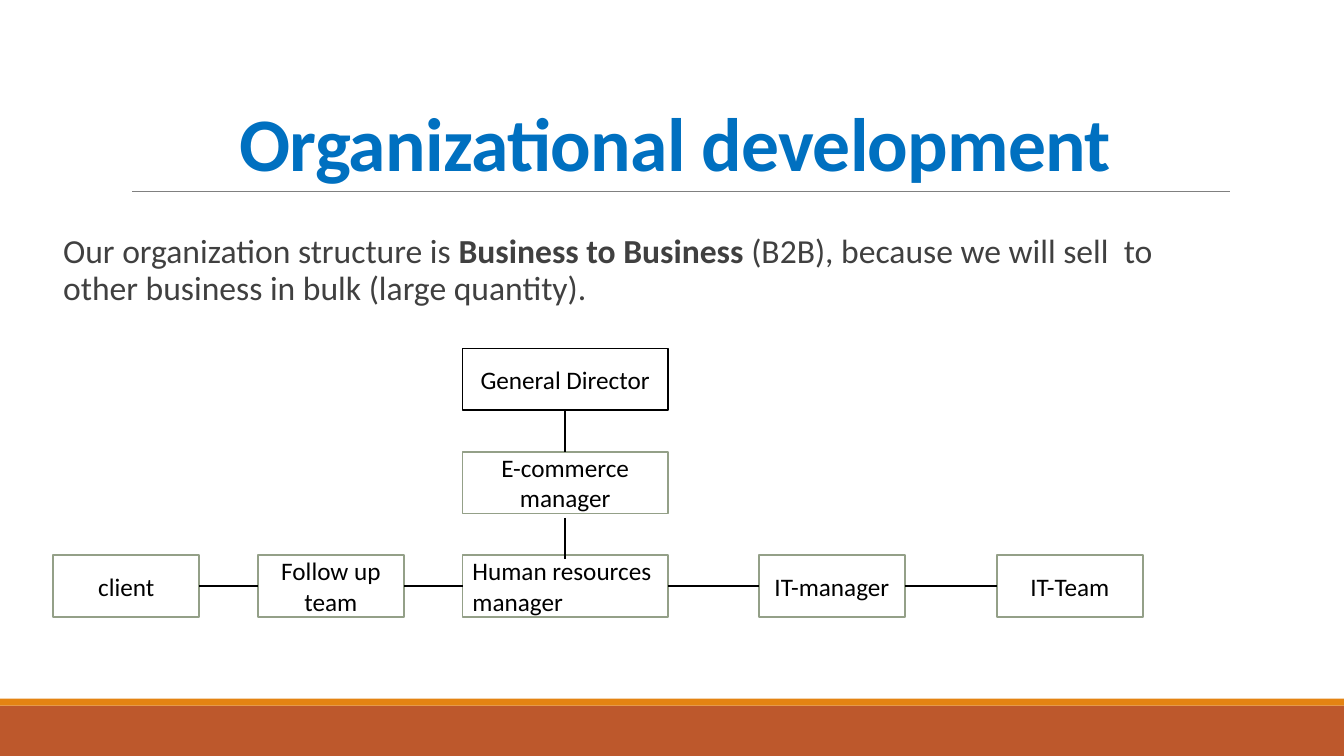
from lxml import etree
from pptx import Presentation
from pptx.dml.color import RGBColor
from pptx.enum import shapes, text
from pptx.oxml.ns import qn
from pptx.util import Pt

COLORS = {
    "title": "0070C0", "body": "404040", "black": "000000", "white": "FFFFFF",
    "sage": "94A088", "rule": "808080", "rust": "BD582C", "orange": "E48312",
}
TITLE = "Organizational development"
BODY = [
    ("Our organization structure is ", False),
    ("Business to Business ", True),
    ("(B2B), because we will sell  to other business in bulk (large quantity).", False),
]
WIDE, NARROW, BOX_HEIGHT = 146.6, 104.4, 44
CENTER, LEFT = text.PP_ALIGN.CENTER, text.PP_ALIGN.LEFT
COLUMNS = [38, 184.2, 330.4, 542, 712]
ROWS = [249, 322.8, 396.6]
BOXES = {
    "General Director": (2, 0, WIDE, "black", CENTER),
    "E-commerce manager": (2, 1, WIDE, "sage", CENTER),
    "client": (0, 2, NARROW, "sage", CENTER),
    "Follow up team": (1, 2, NARROW, "sage", CENTER),
    "Human resources manager": (2, 2, WIDE, "sage", LEFT),
    "IT-manager": (3, 2, NARROW, "sage", CENTER),
    "IT-Team": (4, 2, NARROW, "sage", CENTER),
}
TEAM_CHAIN = ["client", "Follow up team", "Human resources manager", "IT-manager", "IT-Team"]
BANDS = [("rust", 504, 36), ("orange", 499, 5)]


def color(name):
    return RGBColor.from_string(COLORS[name])


def apply(target, values):
    for name, value in values.items():
        setattr(target, name, value)


def add_run(paragraph, words, size, color_name, bold=False):
    run = paragraph.add_run()
    run.text = words
    apply(run.font, {"name": "Calibri", "size": Pt(size), "bold": bold})
    run.font.color.rgb = color(color_name)
    return run


def add_rectangle(slide, left, top, width, height, fill):
    shape = slide.shapes.add_shape(
        shapes.MSO_SHAPE.RECTANGLE, Pt(left), Pt(top), Pt(width), Pt(height))
    shape.shadow.inherit = False
    shape.fill.solid()
    shape.fill.fore_color.rgb = color(fill)
    shape.line.fill.background()
    return shape


def add_box(slide, label, column, row, width, outline, alignment):
    box = add_rectangle(slide, COLUMNS[column], ROWS[row], width, BOX_HEIGHT, "white")
    box.line.color.rgb = color(outline)
    box.line.width = Pt(1.25)
    apply(box.text_frame, {"word_wrap": True, "vertical_anchor": text.MSO_ANCHOR.MIDDLE})
    paragraph = box.text_frame.paragraphs[0]
    paragraph.alignment = alignment
    add_run(paragraph, label, 18, "black")
    return box


def add_line(slide, start, end, color_name="black", width=1.25):
    line = slide.shapes.add_connector(
        shapes.MSO_CONNECTOR.STRAIGHT, *(Pt(value) for value in start + end))
    line.line.color.rgb = color(color_name)
    line.line.width = Pt(width)
    etree.SubElement(line._element.spPr, qn("a:effectLst"))
    return line


def join(slide, first, first_side, second, second_side):
    line = add_line(slide, (0, 0), (0, 0))
    line.begin_connect(first, first_side)
    line.end_connect(second, second_side)


def add_title(slide):
    title = slide.shapes.title
    apply(title, {"left": Pt(86.4), "top": Pt(22.4), "width": Pt(792), "height": Pt(114.4)})
    apply(title.text_frame, {
        "word_wrap": True, "auto_size": text.MSO_AUTO_SIZE.NONE,
        "vertical_anchor": text.MSO_ANCHOR.BOTTOM})
    paragraph = title.text_frame.paragraphs[0]
    apply(paragraph, {"alignment": CENTER, "line_spacing": 0.85, "space_before": Pt(0)})
    run = add_run(paragraph, TITLE, 54, "title", True)
    run.font._element.set("spc", "-50")


def add_body(slide):
    body = slide.shapes.add_textbox(Pt(38), Pt(164.2), Pt(792), Pt(72))
    apply(body.text_frame, {"word_wrap": True, "margin_left": Pt(7.2), "margin_right": Pt(0)})
    paragraph = body.text_frame.paragraphs[0]
    apply(paragraph, {"line_spacing": 0.9, "space_before": Pt(12), "space_after": Pt(2)})
    for words, bold in BODY:
        add_run(paragraph, words, 24, "body", bold)


def main():
    presentation = Presentation()
    apply(presentation, {"slide_width": Pt(960), "slide_height": Pt(540)})
    slide = presentation.slides.add_slide(presentation.slide_layouts[5])
    for fill, top, height in BANDS:
        add_rectangle(slide, 0, top, 960, height, fill)
    add_line(slide, (94.4, 136.8), (878.4, 136.8), "rule", 0.5)
    add_title(slide)
    add_body(slide)

    boxes = {label: add_box(slide, label, *place) for label, place in BOXES.items()}
    join(slide, boxes["General Director"], 2, boxes["E-commerce manager"], 0)
    middle = COLUMNS[2] + WIDE / 2
    add_line(slide, (middle, 370), (middle, 399.6))
    for left, right in zip(TEAM_CHAIN, TEAM_CHAIN[1:]):
        join(slide, boxes[left], 3, boxes[right], 1)
    presentation.save("out.pptx")


if __name__ == "__main__":
    main()
